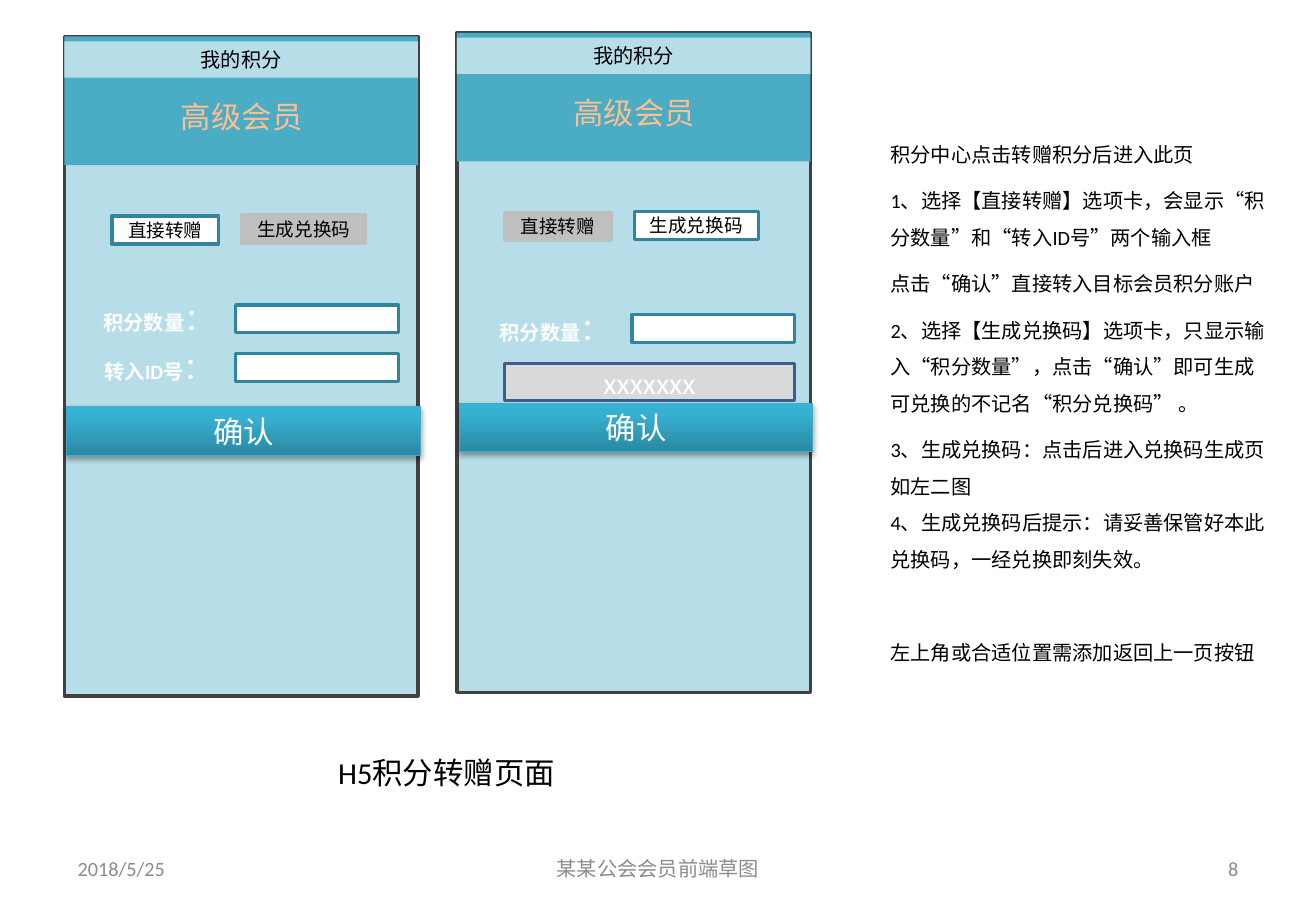
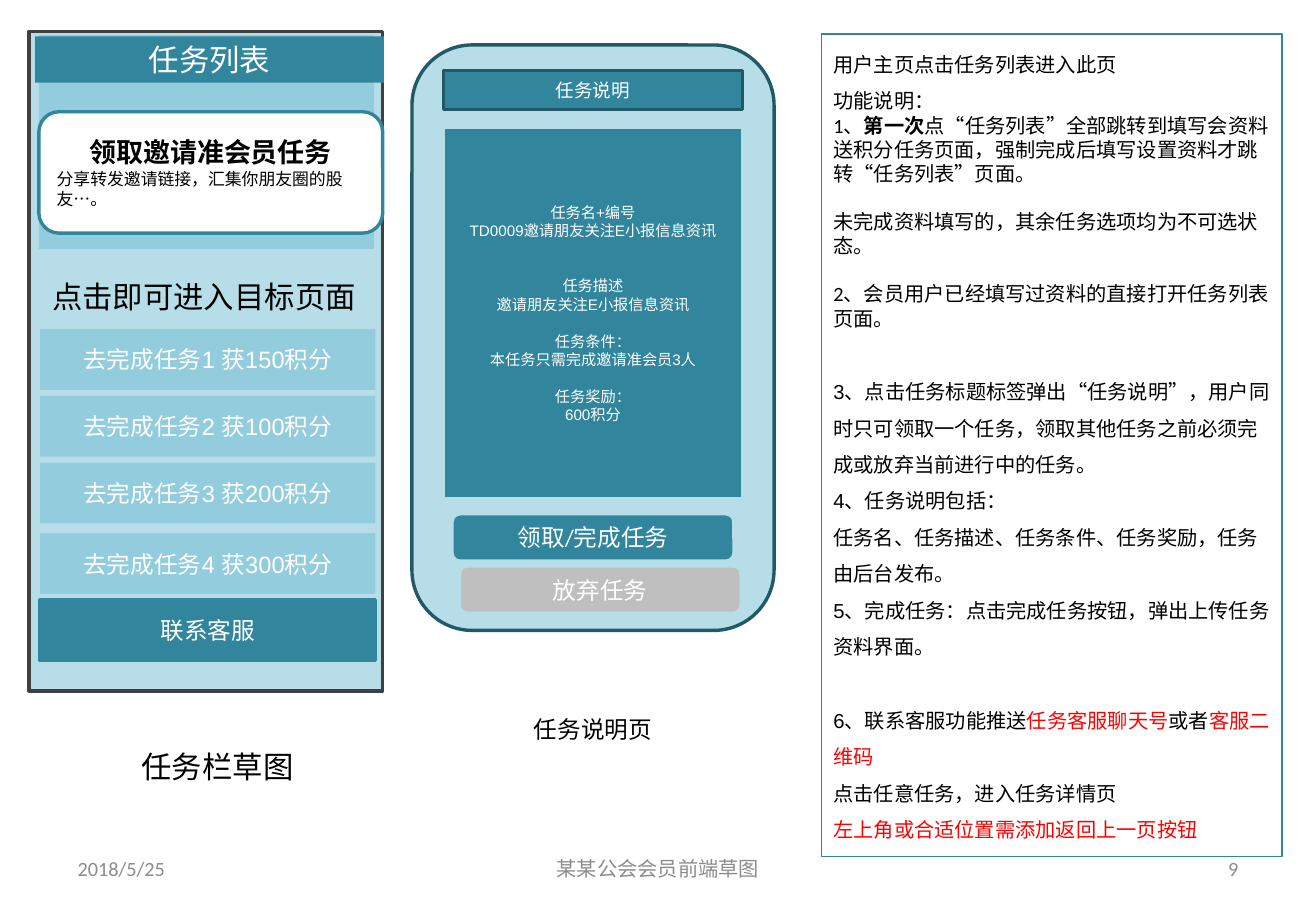
"""Builds two wireframe slides for a member points app."""
from copy import deepcopy
from dataclasses import dataclass

from lxml import etree
from pptx import Presentation
from pptx import util as u
from pptx.dml.color import RGBColor
from pptx.enum import lang, shapes, text
from pptx.oxml.ns import qn

PX = 9144
LEFT, CENTER, RIGHT = text.PP_ALIGN.LEFT, text.PP_ALIGN.CENTER, text.PP_ALIGN.RIGHT
TOP, MIDDLE = text.MSO_ANCHOR.TOP, text.MSO_ANCHOR.MIDDLE
RECT, ROUND = shapes.MSO_SHAPE.RECTANGLE, shapes.MSO_SHAPE.ROUNDED_RECTANGLE


@dataclass(frozen=True)
class Theme:
    """Colours, fonts and type sizes shared by the slides."""
    black: str = "000000"
    white: str = "FFFFFF"
    red: str = "FF0000"
    footer: str = "8C8C8C"
    frame: str = "404040"
    screen: str = "B7DEE8"
    band: str = "4BACC6"
    panel: str = "93CDDD"
    teal: str = "31859C"
    deep: str = "215968"
    peach: str = "FAC090"
    grey: str = "BFBFBF"
    pale: str = "D9D9D9"
    code_line: str = "3A5F8C"
    button_line: str = "46AAC5"
    gradient: tuple = ((0, "2A88A2"), (0.8, "37B1D2"), (1, "34B4D6"))
    latin: str = "Calibri"
    sans: str = "Arial"
    cjk: str = "Noto Sans CJK SC"
    tiny: int = 9
    small: int = 10
    tab: int = 11
    body: int = 12
    item: int = 14
    card: int = 16
    title: int = 18


T = Theme()


@dataclass
class Para:
    """A paragraph: runs are strings or (string, overrides) pairs."""
    runs: list
    spacing: float = 1
    before: int = 0
    align: object = None


class Board:
    """Holds the presentation, its style and the current slide."""

    def __init__(self):
        self.prs = Presentation()
        self.prs.slide_width, self.prs.slide_height = 1083 * PX, 750 * PX
        self.s = None

    def new_slide(self, number):
        """Start a blank slide with its date, footer and number."""
        self.s = self.prs.slides.add_slide(self.prs.slide_layouts[6])
        for x, w, words, align in ((54, 253, "2018/5/25", LEFT),
                                   (776, 253, str(number), RIGHT),
                                   (370, 343, "某某公会会员前端草图", CENTER)):
            self.label((x, 695, w, 40), words, color=T.footer, align=align, anchor=MIDDLE)

    def set_text(self, sp, paras, size=T.body, color=T.black, font=T.latin, bold=False,
                 align=CENTER, anchor=MIDDLE):
        """Fill a shape with styled text."""
        tf = sp.text_frame
        tf.word_wrap = True
        tf.vertical_anchor = anchor
        paras = [Para([paras])] if isinstance(paras, str) else paras
        for i, para in enumerate(paras):
            p = tf.add_paragraph() if i else tf.paragraphs[0]
            p.alignment = para.align or align
            p.line_spacing = para.spacing
            p.space_before = u.Pt(para.before)
            for run in para.runs:
                words, own = (run, {}) if isinstance(run, str) else run
                self.add_words(p, words, **{**dict(size=size, color=color, font=font, bold=bold), **own})

    def add_words(self, p, words, size, color, font, bold):
        """Add one run to a paragraph."""
        r = p.add_run()
        r.text = words
        r.font.size, r.font.bold, r.font.name = u.Pt(size), bold, font
        r.font.color.rgb = RGBColor.from_string(color)
        r.font.language_id = lang.MSO_LANGUAGE_ID.SIMPLIFIED_CHINESE
        etree.SubElement(r.font._element, qn("a:ea"), typeface=T.cjk)

    def label(self, box, paras, **style):
        """Add a text box."""
        sp = self.s.shapes.add_textbox(*(n * PX for n in box))
        self.set_text(sp, paras, **{"anchor": TOP, **style})

    def box(self, box, fill, line=None, width=2, paras=None, kind=RECT, **style):
        """Add a filled shape with optional outline and text."""
        sp = self.s.shapes.add_shape(kind, *(n * PX for n in box))
        sp.shadow.inherit = False
        sp.fill.solid()
        sp.fill.fore_color.rgb = RGBColor.from_string(fill)
        if line:
            sp.line.color.rgb = RGBColor.from_string(line)
            sp.line.width = u.Pt(width)
        else:
            sp.line.fill.background()
        if paras:
            self.set_text(sp, paras, **style)
        return sp

    def glossy_button(self, box, words):
        """Add a gradient button with a soft shadow."""
        sp = self.box(box, T.band, T.button_line, 0.75, words,
                      size=T.title, color=T.white, anchor=TOP)
        sp.fill.gradient()
        sp.fill.gradient_angle = 90
        spPr = sp._element.spPr
        stops = spPr.find(qn("a:gradFill")).find(qn("a:gsLst"))
        stops.insert(1, deepcopy(stops[0]))
        for stop, (position, color) in zip(sp.fill.gradient_stops, T.gradient):
            stop.position = position
            stop.color.rgb = RGBColor.from_string(color)
        shadow = etree.SubElement(spPr.find(qn("a:effectLst")), qn("a:outerShdw"),
                                  blurRad="40000", dist="23000", dir="5400000", rotWithShape="0")
        clr = etree.SubElement(shadow, qn("a:srgbClr"), val=T.black)
        etree.SubElement(clr, qn("a:alpha"), val="35000")

    def field(self, x, y, words):
        """Add a caption and its input box."""
        colon = ("：", dict(size=T.title, bold=False))
        self.label((x, y, 126, 23), [Para([words, colon])],
                   color=T.white, bold=True, anchor=MIDDLE)
        self.box((x + 126, y, 134, 23), T.white, T.teal)

    def tab(self, box, words, active):
        """Add an option tab, white when active and grey otherwise."""
        fill, line = (T.white, T.teal) if active else (T.grey, T.grey)
        self.box(box, fill, line, paras=words, size=T.tab)

    def phone(self, x, y, active):
        """Add a transfer screen with the given tab active."""
        self.box((x, y, 291, 543), T.screen, T.frame)
        self.box((x, y, 291, 106), T.band)
        self.box((x, y + 4, 291, 30), T.screen, paras="我的积分", anchor=TOP)
        self.label((x + 8, y + 46, 276, 40), "高级会员", size=T.title, color=T.peach)
        self.glossy_button((x + 2, y + 305, 291, 40), "确认")
        self.tab((x + 39, y + 148, 88, 23), "直接转赠", active == 0)
        self.tab((x + 146, y + 147, 102, 23), "生成兑换码", active == 1)


def transfer_slide(b):
    """Build the points transfer slide."""
    b.new_slide(8)
    b.label((261, 616, 213, 40), "H5积分转赠页面", size=T.title)
    b.phone(53, 30, active=0)
    b.field(68, 251, "积分数量")
    b.field(68, 291, "转入ID号")
    b.phone(376, 27, active=1)
    b.field(394, 259, "积分数量")
    b.box((415, 299, 239, 31), T.pale, T.code_line, paras="xxxxxxx",
          size=T.title, color=T.white)
    notes = (("积分中心点击转赠积分后进入此页", 6),
             ("1、选择【直接转赠】选项卡，会显示“积分数量”和“转入ID号”两个输入框", 6),
             ("点击“确认”直接转入目标会员积分账户", 6),
             ("2、选择【生成兑换码】选项卡，只显示输入“积分数量”，点击“确认”即可生成可兑换的不记名“积分兑换码” 。", 6),
             ("3、生成兑换码：点击后进入兑换码生成页如左二图", 6),
             ("4、生成兑换码后提示：请妥善保管好本此兑换码，一经兑换即刻失效。", 0),
             ("左上角或合适位置需添加返回上一页按钮", 34))
    b.label((723, 102, 331, 454), [Para([words], 1.5, gap) for words, gap in notes], align=LEFT)


def task_slide(b):
    """Build the task list slide."""
    b.new_slide(9)
    b.label((94, 611, 170, 40), "任务栏草图", size=T.title)
    b.box((24, 26, 291, 543), T.screen, T.frame)
    b.box((32, 29, 276, 176), T.panel)
    button = dict(size=T.item, color=T.white, font=T.sans)
    for i, (y, points) in enumerate(((271, 150), (326, 100), (381, 200), (439, 300)), 1):
        b.box((33, y, 276, 50), T.panel, paras=f"去完成任务{i} 获{points}积分", **button)
    b.box((33, 494, 276, 50), T.teal, T.teal, paras="联系客服", **button)
    b.box((29, 30, 287, 38), T.teal, paras="任务列表", size=T.title, color=T.white)
    b.label((33, 224, 274, 41), "点击即可进入目标页面", size=T.title, align=LEFT)
    invite = [Para([("领取邀请准会员任务", dict(font=T.latin, size=T.card, bold=True))]),
              Para(["分享转发邀请链接，汇集你朋友圈的股友…。"], align=LEFT)]
    b.box((32, 92, 283, 100), T.white, T.teal, paras=invite, kind=ROUND,
          size=T.small, font=T.cjk)

    calibri, red = dict(font=T.latin), dict(color=T.red)
    notes = [Para(["用户主页点击任务列表进入此页"], 1.5),
             Para(["功能说明："], 1.5),
             Para([("1、", calibri), ("第一次", dict(font=T.latin, bold=True)),
                   ("点“任务列表”全部跳转到填写会资料送积分任务页面，强制完成后填写设置资料才跳转“任务列表”页面。", calibri)]),
             Para([("未完成资料填写的，其余任务选项均为不可选状态。", calibri)], before=14),
             Para([("2、会员用户已经填写过资料的直接打开任务列表页面。", calibri)], before=14),
             Para(["3、点击任务标题标签弹出“任务说明”，用户同时只可领取一个任务，领取其他任务之前必须完成或放弃当前进行中的任务。"], 1.5, 22),
             Para(["4、任务说明包括："], 1.5),
             Para(["任务名、任务描述、任务条件、任务奖励，任务由后台发布。"], 1.5),
             Para(["5、完成任务：点击完成任务按钮，弹出上传任务资料界面。"], 1.5),
             Para(["6、联系客服功能推送", ("任务客服聊天号", red), "或者", ("客服二维码", red)], 1.5, 22),
             Para(["点击任意任务，进入任务详情页"], 1.5),
             Para([("左上角或合适位置需添加返回上一页按钮", red)], 1.5)]
    b.box((676, 28, 379, 677), T.white, T.teal, 0.75, notes,
          font=T.sans, align=LEFT, anchor=TOP)

    b.box((339, 37, 298, 482), T.screen, T.deep, kind=ROUND)
    b.box((365, 58, 246, 32), T.teal, T.deep, paras="任务说明", size=T.tab, color=T.white)
    details = (("任务名+编号", 0), ("TD0009邀请朋友关注E小报信息资讯", 0),
               ("任务描述", 22), ("邀请朋友关注E小报信息资讯", 0),
               ("任务条件：", 11), ("本任务只需完成邀请准会员3人", 0),
               ("任务奖励：", 11), ("600积分", 0))
    b.box((365, 105, 246, 306), T.teal, T.screen,
          paras=[Para([words], before=gap) for words, gap in details],
          size=T.tiny, color=T.white, font=T.sans)
    for x, y, fill, words in ((372, 423, T.teal, "领取/完成任务"), (378, 466, T.grey, "放弃任务")):
        b.box((x, y, 232, 39), fill, T.screen, paras=words, kind=ROUND,
              size=T.item, color=T.white)
    b.label((365, 584, 246, 46), "任务说明页", size=T.item)


def main():
    """Build and save both slides."""
    b = Board()
    transfer_slide(b)
    task_slide(b)
    b.prs.save("out.pptx")


if __name__ == "__main__":
    main()
